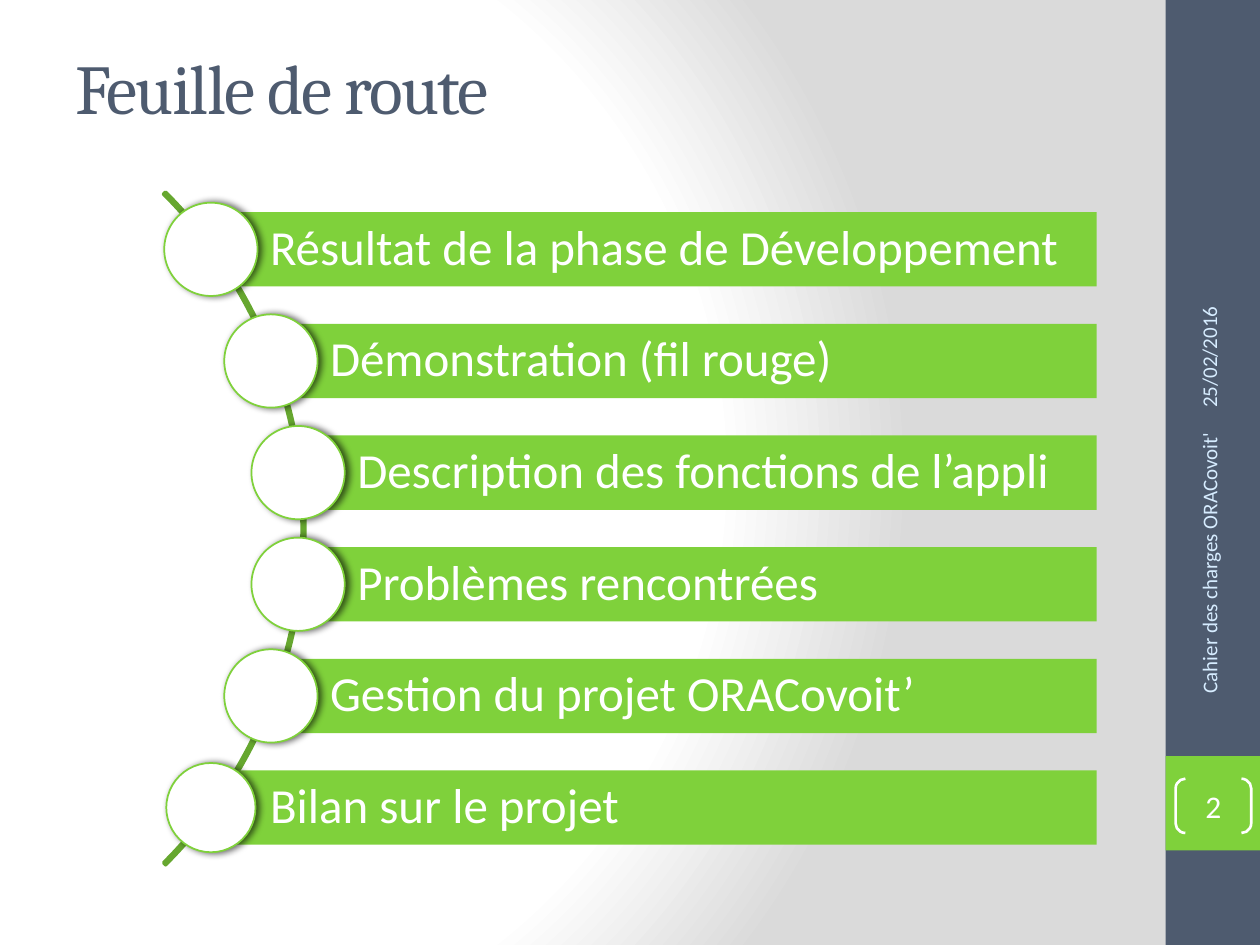
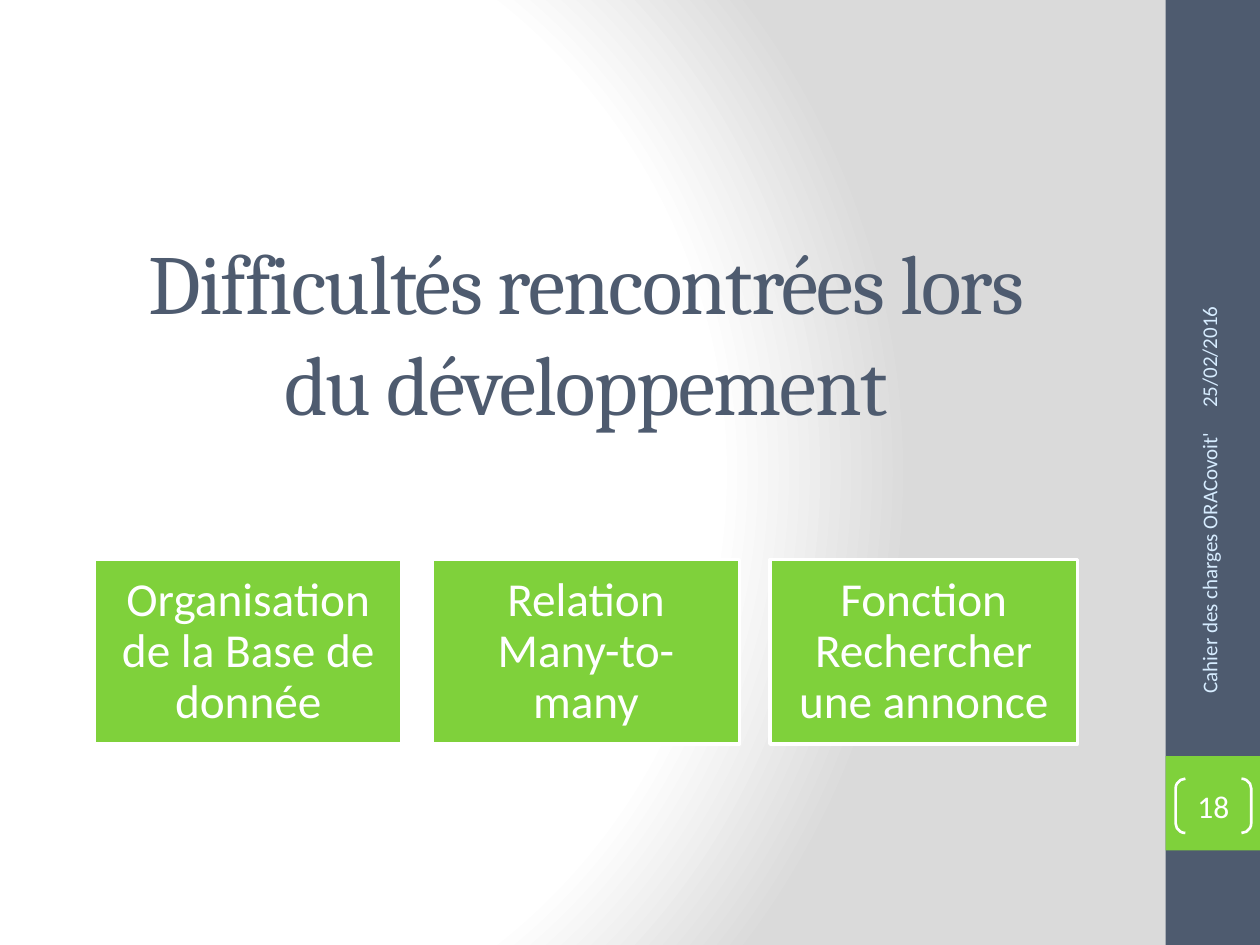
from dataclasses import dataclass
from math import sqrt

from pptx import Presentation
from pptx.dml.color import RGBColor
from pptx.enum.shapes import MSO_SHAPE
from pptx.enum.text import MSO_ANCHOR, MSO_AUTO_SIZE, PP_ALIGN
from pptx.oxml import parse_xml
from pptx.oxml.ns import nsdecls
from pptx.util import Pt

ROADMAP = {
    "title": "Feuille de route",
    "number": "2",
    "steps": [
        "Résultat de la phase de Développement",
        "Démonstration (fil rouge)",
        "Description des fonctions de l’appli",
        "Problèmes rencontrées",
        "Gestion du projet ORACovoit’",
        "Bilan sur le projet",
    ],
}
DIFFICULTIES = {
    "title": "Difficultés rencontrées lors du développement",
    "number": "18",
    "cards": [
        "Organisation de la Base de donnée",
        "Relation Many-to-many",
        "Fonction Rechercher une annonce",
    ],
}
DATE = "25/02/2016"
FOOTER = "Cahier des charges ORACovoit'"


@dataclass(frozen=True)
class Theme:
    slate: str = "4E5B6F"
    green: str = "7FD13B"
    dark_green: str = "66A72F"
    pale_blue: str = "D6ECFF"
    white: str = "FFFFFF"
    gray: str = "DADADA"
    heading_font: str = "Cambria"
    body_font: str = "Calibri"
    title_size: int = 40
    section_size: int = 48
    step_size: int = 28
    card_size: int = 27
    number_size: int = 18
    footer_size: int = 12


THEME = Theme()

SLIDE_WIDTH, SLIDE_HEIGHT = 720, 540
BAND_LEFT, BAND_WIDTH = 666, 54

ARC_CENTER_X, ARC_CENTER_Y, ARC_RADIUS = -97.56, 302, 271.8
STEP_PITCH, BAR_HEIGHT, BAR_RIGHT = 63.8, 42.5, 626.7
CIRCLE_SIZE, LAST_CIRCLE_SIZE = 53.3, 51
CIRCLE_OFFSET = 2

CARD_LEFT, CARD_TOP, CARD_PITCH = 54, 319.8, 193
CARD_WIDTH, CARD_HEIGHT = 175.7, 105.4


def color(value):
    return RGBColor.from_string(value)


def points(box):
    return [Pt(length) for length in box]


def add_shape(slide, kind, box, fill=None, line=None, line_width=1):
    shape = slide.shapes.add_shape(kind, *points(box))
    shape.shadow.inherit = False
    if fill:
        shape.fill.solid()
        shape.fill.fore_color.rgb = color(fill)
    else:
        shape.fill.background()
    if line:
        shape.line.color.rgb = color(line)
        shape.line.width = Pt(line_width)
    else:
        shape.line.fill.background()
    return shape


def write(shape, text, size, ink=THEME.white, align=PP_ALIGN.LEFT, font=THEME.body_font,
          anchor=MSO_ANCHOR.MIDDLE, insets=(7.2, 3.6, 7.2, 3.6), line_spacing=1):
    frame = shape.text_frame
    frame.word_wrap = True
    frame.auto_size = MSO_AUTO_SIZE.NONE
    frame.vertical_anchor = anchor
    frame.margin_left, frame.margin_top, frame.margin_right, frame.margin_bottom = points(insets)
    frame.text = text
    paragraph = frame.paragraphs[0]
    paragraph.alignment = align
    paragraph.line_spacing = line_spacing
    paragraph.font.name = font
    paragraph.font.size = Pt(size)
    paragraph.font.color.rgb = color(ink)


def add_soft_shadow(shape):
    effects = shape.element.spPr.xpath("./a:effectLst")[0]
    effects.append(parse_xml(
        f'<a:outerShdw {nsdecls("a")} blurRad="{Pt(4)}" dist="{Pt(2)}" dir="0" rotWithShape="0">'
        '<a:srgbClr val="000000"><a:alpha val="60000"/></a:srgbClr></a:outerShdw>'))


def set_master_background(master):
    master.background.fill.gradient()
    gradient = master.element.xpath(".//p:bgPr/a:gradFill")[0]
    stops = [(0, THEME.white), (75000, THEME.white), (100000, THEME.gray)]
    stop_xml = "".join(
        f'<a:gs pos="{position}"><a:srgbClr val="{value}"/></a:gs>' for position, value in stops)
    gradient.getparent().replace(gradient, parse_xml(
        f'<a:gradFill {nsdecls("a")} rotWithShape="1"><a:gsLst>{stop_xml}</a:gsLst>'
        '<a:path path="circle"><a:fillToRect l="20000" t="50000" r="100000" b="50000"/></a:path>'
        '</a:gradFill>'))


def move_bands_to_master(slide, master):
    bands = [(0, SLIDE_HEIGHT, THEME.slate), (432, BAND_WIDTH, THEME.green)]
    for index, (top, height, fill) in enumerate(bands):
        band = add_shape(slide, MSO_SHAPE.RECTANGLE, (BAND_LEFT, top, BAND_WIDTH, height), fill)
        band.element.nvSpPr.cNvPr.id = 100 + index
        master.shapes.element.insert(2 + index, band.element)


def add_title(slide, text, box, size, align=PP_ALIGN.LEFT):
    title = slide.shapes.title
    title.left, title.top, title.width, title.height = points(box)
    write(title, text, size, THEME.slate, align, THEME.heading_font, MSO_ANCHOR.TOP)
    title.text_frame.paragraphs[0].runs[0].font._element.set("spc", "-100")


def add_footer(slide, number):
    sideways = [
        (DATE, (594.7, 129.6, 192.2, 28.8), PP_ALIGN.LEFT),
        (FOOTER, (597.6, 319, 186.5, 28.8), PP_ALIGN.RIGHT),
    ]
    for text, box, align in sideways:
        label = slide.shapes.add_textbox(*points(box))
        label.rotation = 270
        write(label, text, THEME.footer_size, THEME.pale_blue, align)
    bracket = add_shape(slide, MSO_SHAPE.DOUBLE_BRACKET, (671.8, 445, 43.2, 31),
                        line=THEME.white, line_width=1.5)
    bracket.adjustments[0] = 0.18
    write(bracket, number, THEME.number_size, align=PP_ALIGN.CENTER, insets=(0, 0, 0, 0))


def add_steps(slide, steps):
    arc = add_shape(slide, MSO_SHAPE.BLOCK_ARC,
                    (ARC_CENTER_X - ARC_RADIUS, ARC_CENTER_Y - ARC_RADIUS,
                     2 * ARC_RADIUS, 2 * ARC_RADIUS),
                    line=THEME.dark_green, line_width=2)
    for index, value in enumerate((189, 27, 0.003)):
        arc.adjustments[index] = value

    last = len(steps) - 1
    for index, text in enumerate(steps):
        rise = (index - last / 2) * STEP_PITCH
        center_x = ARC_CENTER_X + sqrt(ARC_RADIUS ** 2 - rise ** 2) - CIRCLE_OFFSET
        center_y = ARC_CENTER_Y + rise
        bar = add_shape(slide, MSO_SHAPE.RECTANGLE,
                        (center_x, center_y - BAR_HEIGHT / 2, BAR_RIGHT - center_x, BAR_HEIGHT),
                        THEME.green)
        write(bar, text, THEME.step_size, insets=(33.8, 5.8, 5.8, 5.8), line_spacing=0.9)
        size = LAST_CIRCLE_SIZE if index == last else CIRCLE_SIZE
        circle = add_shape(slide, MSO_SHAPE.OVAL,
                           (center_x - size / 2, center_y - size / 2, size, size),
                           THEME.white, THEME.green)
        add_soft_shadow(circle)


def add_cards(slide, cards):
    for index, text in enumerate(cards):
        card = add_shape(slide, MSO_SHAPE.RECTANGLE,
                         (CARD_LEFT + index * CARD_PITCH, CARD_TOP, CARD_WIDTH, CARD_HEIGHT),
                         THEME.green, THEME.white, 2)
        write(card, text, THEME.card_size, align=PP_ALIGN.CENTER,
              insets=(8, 8, 8, 8), line_spacing=0.9)


def main():
    presentation = Presentation()
    presentation.slide_width, presentation.slide_height = Pt(SLIDE_WIDTH), Pt(SLIDE_HEIGHT)
    master = presentation.slide_master
    title_only = presentation.slide_layouts[5]
    set_master_background(master)

    roadmap = presentation.slides.add_slide(title_only)
    move_bands_to_master(roadmap, master)
    add_title(roadmap, ROADMAP["title"], (36, 21.6, 600, 90), THEME.title_size)
    add_steps(roadmap, ROADMAP["steps"])
    add_footer(roadmap, ROADMAP["number"])

    difficulties = presentation.slides.add_slide(title_only)
    add_title(difficulties, DIFFICULTIES["title"], (54, 128, 561.6, 136),
              THEME.section_size, PP_ALIGN.CENTER)
    add_footer(difficulties, DIFFICULTIES["number"])
    add_cards(difficulties, DIFFICULTIES["cards"])

    presentation.save("out.pptx")


if __name__ == "__main__":
    main()
